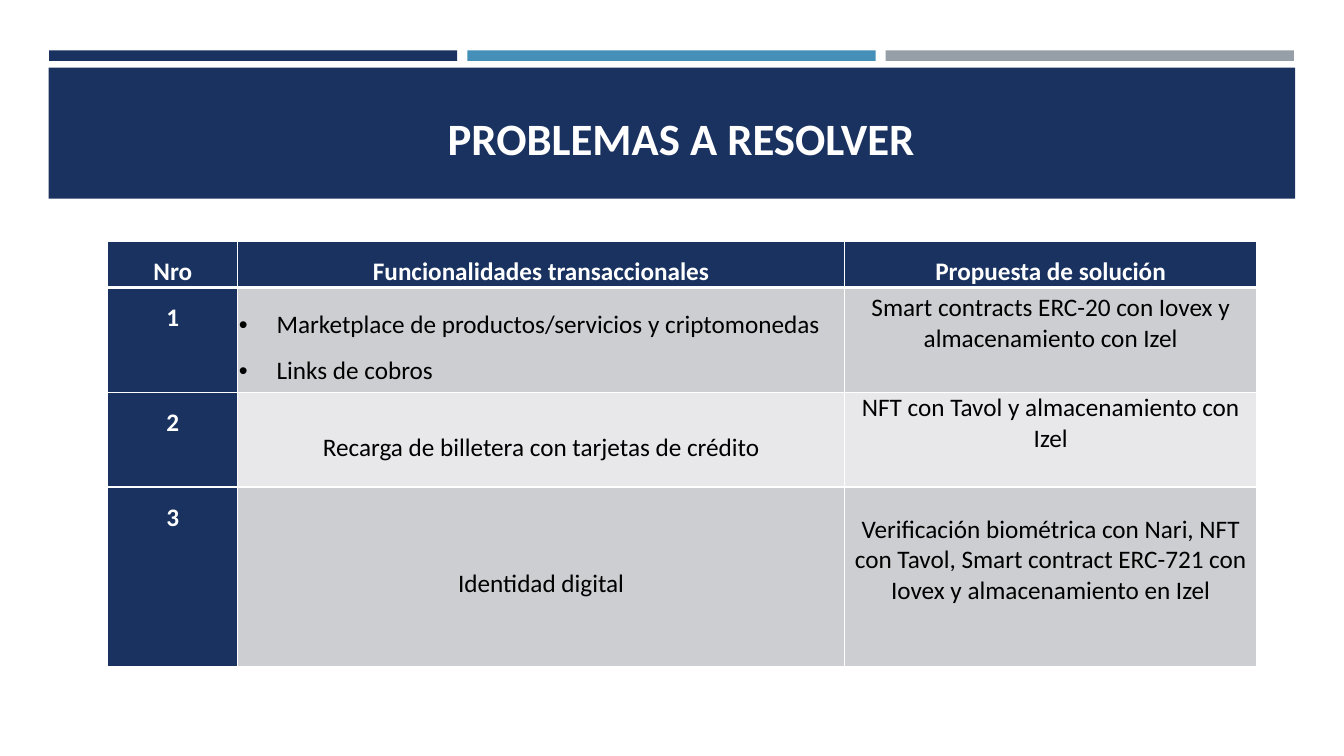
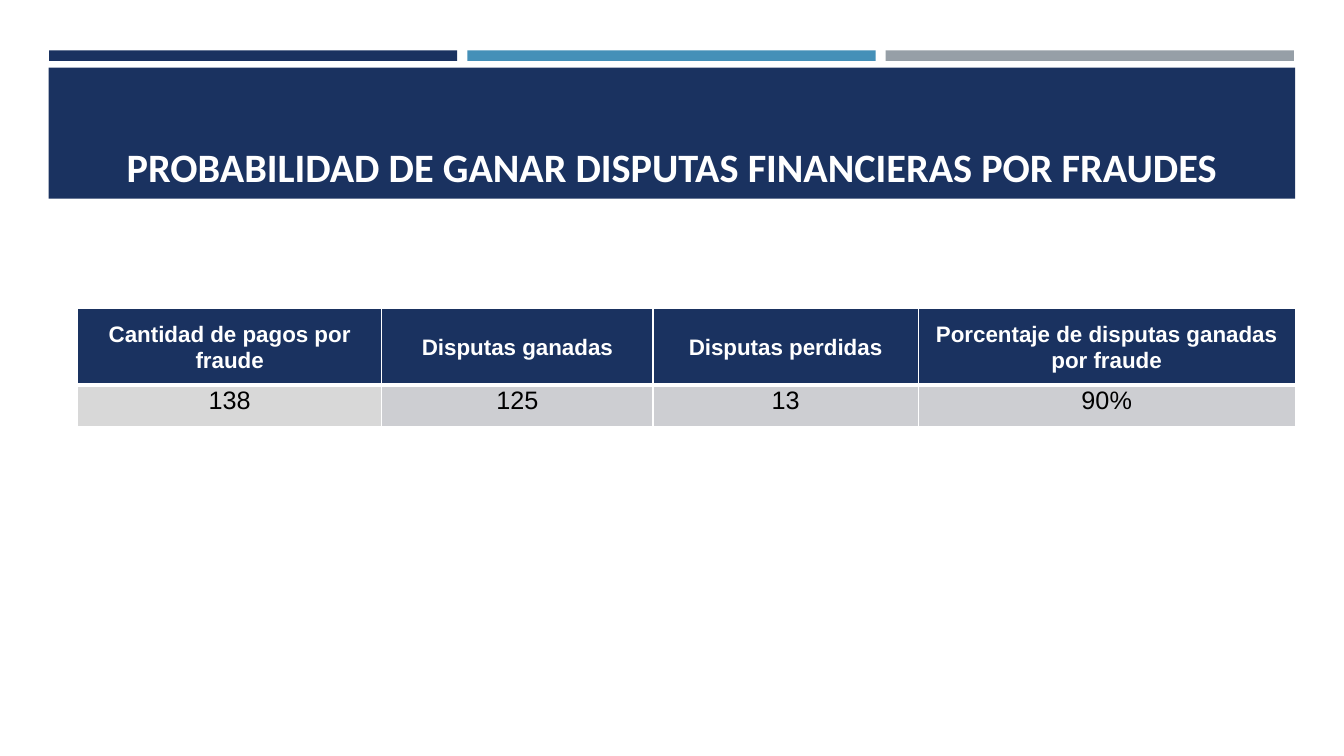
from lxml import etree
from pptx import Presentation
from pptx.dml.color import RGBColor
from pptx.enum.shapes import MSO_SHAPE
from pptx.enum.text import MSO_ANCHOR, MSO_AUTO_SIZE, PP_ALIGN
from pptx.oxml.ns import qn
from pptx.util import Pt

RECT = MSO_SHAPE.RECTANGLE
TOP, MIDDLE, BOTTOM = MSO_ANCHOR.TOP, MSO_ANCHOR.MIDDLE, MSO_ANCHOR.BOTTOM
LEFT, CENTER = PP_ALIGN.LEFT, PP_ALIGN.CENTER

NAVY = RGBColor(0x1A, 0x32, 0x60)
BLUE = RGBColor(0x45, 0x90, 0xB8)
GRAY = RGBColor(0x96, 0x9F, 0xA7)
DARK = RGBColor(0xCD, 0xCE, 0xD2)
LIGHT = RGBColor(0xE8, 0xE8, 0xEA)
PALE = RGBColor(0xD8, 0xD8, 0xD8)
WHITE = RGBColor(0xFF, 0xFF, 0xFF)
BLACK = RGBColor(0, 0, 0)

# Content; a tuple inside a cell is a bulleted list
ISSUES = {
    "title": "PROBLEMAS A RESOLVER",
    "place": (51.8, 58.3, 869.8, 60.5),
    "size": 32,
    "rows": [
        ("Nro", "Funcionalidades transaccionales", "Propuesta de solución"),
        ("1", ("Marketplace de productos/servicios y criptomonedas",
               "Links de cobros"),
         "Smart contracts ERC-20 con Iovex y almacenamiento con Izel"),
        ("2", "Recarga de billetera con tarjetas de crédito",
         "NFT con Tavol y almacenamiento con Izel"),
        ("3", "Identidad digital",
         "Verificación biométrica con Nari, NFT con Tavol, Smart contract "
         "ERC-721 con Iovex y almacenamiento en Izel"),
    ],
    "spot": (77, 172.4),
    "widths": (92.9, 433.4, 294.5),
    "heights": (33, 75, 67, 128),
}
ODDS = {
    "title": "PROBABILIDAD DE GANAR DISPUTAS FINANCIERAS POR FRAUDES",
    "place": (46.1, 55.4, 868.3, 81.4),
    "size": 28.8,
    "rows": [
        ("Cantidad de pagos por fraude", "Disputas ganadas",
         "Disputas perdidas", "Porcentaje de disputas ganadas por fraude"),
        ("138", "125", "13", "90%"),
    ],
    "spot": (55.4, 220.4),
    "widths": (217.4, 193.7, 189.4, 269.3),
    "heights": (54.7, 29.5),
}


def write(frame, text, size=18, font="Calibri", color=BLACK, bold=False,
          align=CENTER, space=1.0, after=0, bullet=False):
    lines = (text,) if isinstance(text, str) else text
    for i, line in enumerate(lines):
        para = frame.add_paragraph() if i else frame.paragraphs[0]
        para.alignment, para.line_spacing = align, space
        para.space_before = Pt(0)
        para.space_after = Pt(after if i == len(lines) - 1 else 0)
        if bullet:
            props = para._p.get_or_add_pPr()
            props.set("marL", str(Pt(27)))
            props.set("indent", str(-Pt(27)))
            face = etree.SubElement(props, qn("a:buFont"))
            face.set("typeface", "Arial")
            etree.SubElement(props, qn("a:buChar")).set("char", "•")
        run = para.add_run()
        run.text = line
        style = run.font
        style.size, style.name, style.bold = Pt(size), font, bold
        style.color.rgb = color


def add_bar(shapes, box, color):
    bar = shapes.add_shape(RECT, *map(Pt, box))
    bar.shadow.inherit = False
    bar.fill.solid()
    bar.fill.fore_color.rgb = color
    bar.line.fill.background()
    return bar


def add_bands(slide):
    # Draw the bands once, then hand them to the layout
    boxes = [((35 + 298.8 * i, 36, 291.6, 7.5), color)
             for i, color in enumerate((NAVY, BLUE, GRAY))]
    boxes.append(((34.8, 48.4, 890.4, 93.6), NAVY))
    tree = slide.slide_layout.shapes._spTree
    for i, (box, color) in enumerate(boxes):
        tree.insert(2 + i, add_bar(slide.shapes, box, color)._element)


def set_edges(cell, top, bottom):
    props = cell._tc.get_or_add_tcPr()
    edges = (("L", 1), ("R", 1), ("T", top), ("B", bottom))
    for i, (side, width) in enumerate(edges):
        edge = etree.Element(qn("a:ln" + side), w=str(Pt(width)))
        fill = etree.SubElement(edge, qn("a:solidFill"))
        etree.SubElement(fill, qn("a:srgbClr")).set("val", str(WHITE))
        props.insert(i, edge)


def add_page(deck, data):
    slide = deck.slides.add_slide(deck.slide_layouts[5])
    title = slide.shapes.title
    title.left, title.top, title.width, title.height = map(Pt, data["place"])
    frame = title.text_frame
    frame.auto_size, frame.word_wrap = MSO_AUTO_SIZE.NONE, True
    frame.vertical_anchor, frame.margin_bottom = BOTTOM, Pt(1)
    write(frame, data["title"], size=data["size"], color=WHITE, bold=True)
    return slide


def add_grid(slide, data, inset, form):
    rows, wide, high = data["rows"], data["widths"], data["heights"]
    box = (*data["spot"], sum(wide), sum(high))
    grid = slide.shapes.add_table(len(rows), len(wide), *map(Pt, box)).table
    for col, width in zip(grid.columns, wide):
        col.width = Pt(width)
    for row, height in zip(grid.rows, high):
        row.height = Pt(height)
    for r, row in enumerate(rows):
        for c, text in enumerate(row):
            cell = grid.cell(r, c)
            fill, anchor, foot, style = form(r, c, text)
            cell.fill.solid()
            cell.fill.fore_color.rgb = fill
            cell.vertical_anchor = anchor
            cell.margin_left = cell.margin_right = Pt(inset)
            cell.margin_top, cell.margin_bottom = Pt(0), Pt(foot)
            set_edges(cell, 3 if r == 1 else 1, 3 if r == 0 else 1)
            write(cell.text_frame, text, **style)


def form_issue(r, c, text):
    if r == 0 or c == 0:
        return NAVY, TOP, 0, dict(color=WHITE, bold=True, space=1.5, after=8)
    fill = DARK if r % 2 else LIGHT
    if c == 2:
        return fill, MIDDLE, 23.5, {}
    style = dict(space=1.5, after=8)
    if isinstance(text, tuple):
        style.update(align=LEFT, bullet=True)
    return fill, MIDDLE, 0, style


def form_odds(r, c, text):
    style = dict(font="Arial", space=1.07, after=8)
    if r == 0:
        return NAVY, MIDDLE, 0, dict(style, size=16, color=WHITE, bold=True)
    return (DARK if c else PALE), TOP, 0, style


def main():
    deck = Presentation()
    deck.slide_width, deck.slide_height = Pt(960), Pt(540)

    # Problems and proposed solutions
    first = add_page(deck, ISSUES)
    add_bands(first)
    add_grid(first, ISSUES, 0.7, form_issue)

    # Dispute figures
    add_grid(add_page(deck, ODDS), ODDS, 5, form_odds)
    deck.save("out.pptx")


if __name__ == "__main__":
    main()
